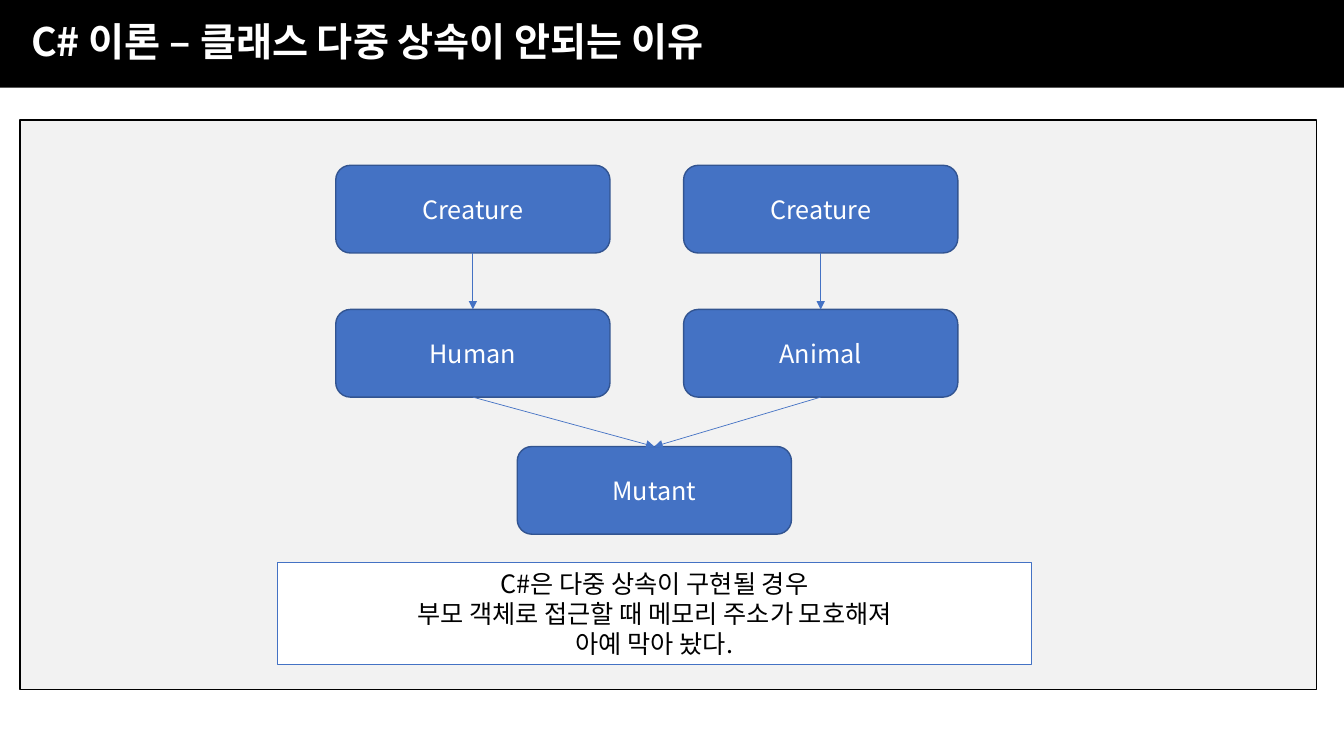
from lxml import etree
from pptx import Presentation
from pptx.dml.color import RGBColor
from pptx.enum.shapes import MSO_CONNECTOR, MSO_SHAPE
from pptx.enum.text import MSO_ANCHOR, PP_ALIGN
from pptx.oxml.ns import qn
from pptx.util import Inches, Pt

RECT = MSO_SHAPE.RECTANGLE
ROUNDED = MSO_SHAPE.ROUNDED_RECTANGLE
STRAIGHT = MSO_CONNECTOR.STRAIGHT
MIDDLE = MSO_ANCHOR.MIDDLE
LEFT, CENTER = PP_ALIGN.LEFT, PP_ALIGN.CENTER

BLACK = RGBColor(0x00, 0x00, 0x00)
WHITE = RGBColor(0xFF, 0xFF, 0xFF)
GRAY = RGBColor(0xF2, 0xF2, 0xF2)
BLUE = RGBColor(0x44, 0x72, 0xC4)
DARK_BLUE = RGBColor(0x32, 0x54, 0x91)

FONT = "Noto Sans CJK KR"
CLASS_W, CLASS_H = 2.72, 0.87
LEFT_X, MIDDLE_X, RIGHT_X = 3.33, 5.13, 6.78
PARENT_Y, CHILD_Y, MUTANT_Y = 1.64, 3.07, 4.43
BOTTOM, TOP = 2, 0


def add_box(s, kind, x, y, w, h, fill, line=None):
    sp = s.shapes.add_shape(kind, Inches(x), Inches(y), Inches(w), Inches(h))
    sp.shadow.inherit = False
    sp.fill.solid()
    sp.fill.fore_color.rgb = fill
    if line is None:
        sp.line.fill.background()
    else:
        sp.line.color.rgb = line
        sp.line.width = Pt(1)
    return sp


def set_text(sp, text, size=18, color=WHITE, bold=False, align=CENTER,
             line_spacing=None, space_before=None):
    """Fill a shape with text, one paragraph per line."""
    tf = sp.text_frame
    tf.word_wrap = True
    tf.vertical_anchor = MIDDLE
    for i, line in enumerate(text.split("\n")):
        p = tf.add_paragraph() if i else tf.paragraphs[0]
        p.alignment = align
        p.line_spacing = line_spacing
        p.space_before = space_before
        r = p.add_run()
        r.text = line
        r.font.name = FONT
        r.font.size = Pt(size)
        r.font.bold = bold
        r.font.color.rgb = color
        # Hangul takes its typeface from a:ea
        latin = r.font._element.find(qn("a:latin"))
        ea = etree.Element(qn("a:ea"), typeface=FONT)
        latin.addnext(ea)


def add_class(s, name, x, y):
    sp = add_box(s, ROUNDED, x, y, CLASS_W, CLASS_H, BLUE, DARK_BLUE)
    set_text(sp, name)
    return sp


def add_arrow(s, parent, child):
    c = s.shapes.add_connector(STRAIGHT, 0, 0, 0, 0)
    c.begin_connect(parent, BOTTOM)
    c.end_connect(child, TOP)
    c.line.color.rgb = BLUE
    c.line.width = Pt(0.5)
    etree.SubElement(c.line._get_or_add_ln(), qn("a:tailEnd"), type="triangle")
    etree.SubElement(c._element.spPr, qn("a:effectLst"))


def main():
    prs = Presentation()
    prs.slide_width, prs.slide_height = Inches(13.33), Inches(7.5)
    s = prs.slides.add_slide(prs.slide_layouts[6])

    add_box(s, RECT, 0.2, 1.19, 12.86, 5.65, GRAY, BLACK)
    title = add_box(s, RECT, 0, 0, 13.33, 0.87, BLACK)
    title.text_frame.margin_left = Inches(0.31)
    set_text(title, "C# 이론 – 클래스 다중 상속이 안되는 이유", size=28, bold=True,
             align=LEFT, line_spacing=0.9, space_before=Pt(10))

    mutant = add_class(s, "Mutant", MIDDLE_X, MUTANT_Y)
    for x, name in ((LEFT_X, "Human"), (RIGHT_X, "Animal")):
        creature = add_class(s, "Creature", x, PARENT_Y)
        child = add_class(s, name, x, CHILD_Y)
        add_arrow(s, creature, child)
        add_arrow(s, child, mutant)

    note = add_box(s, RECT, 2.75, 5.58, 7.48, 1.01, WHITE, BLUE)
    set_text(note, "C#은 다중 상속이 구현될 경우\n"
                   "부모 객체로 접근할 때 메모리 주소가 모호해져\n"
                   "아예 막아 놨다.", color=BLACK)

    prs.save("out.pptx")


if __name__ == "__main__":
    main()
